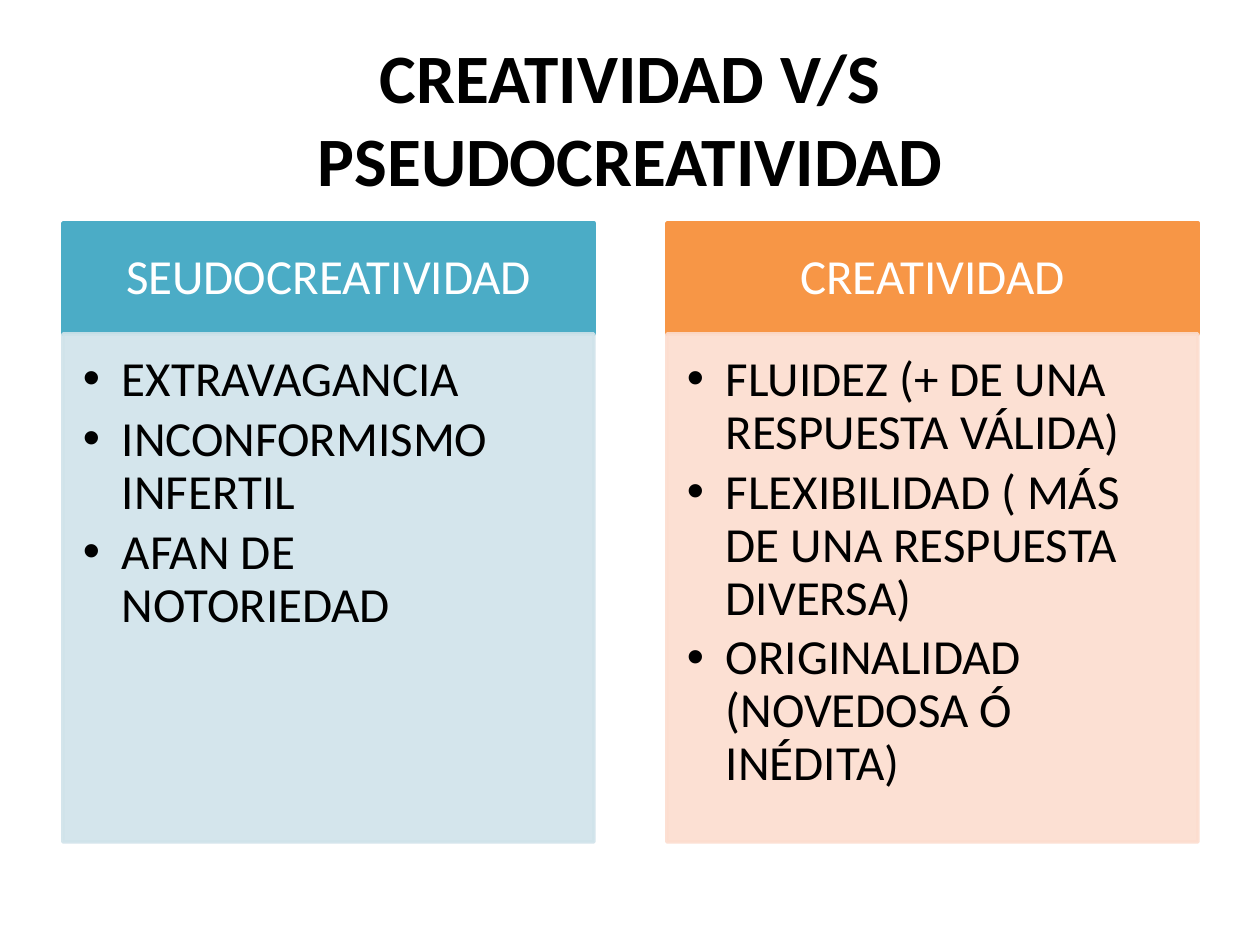
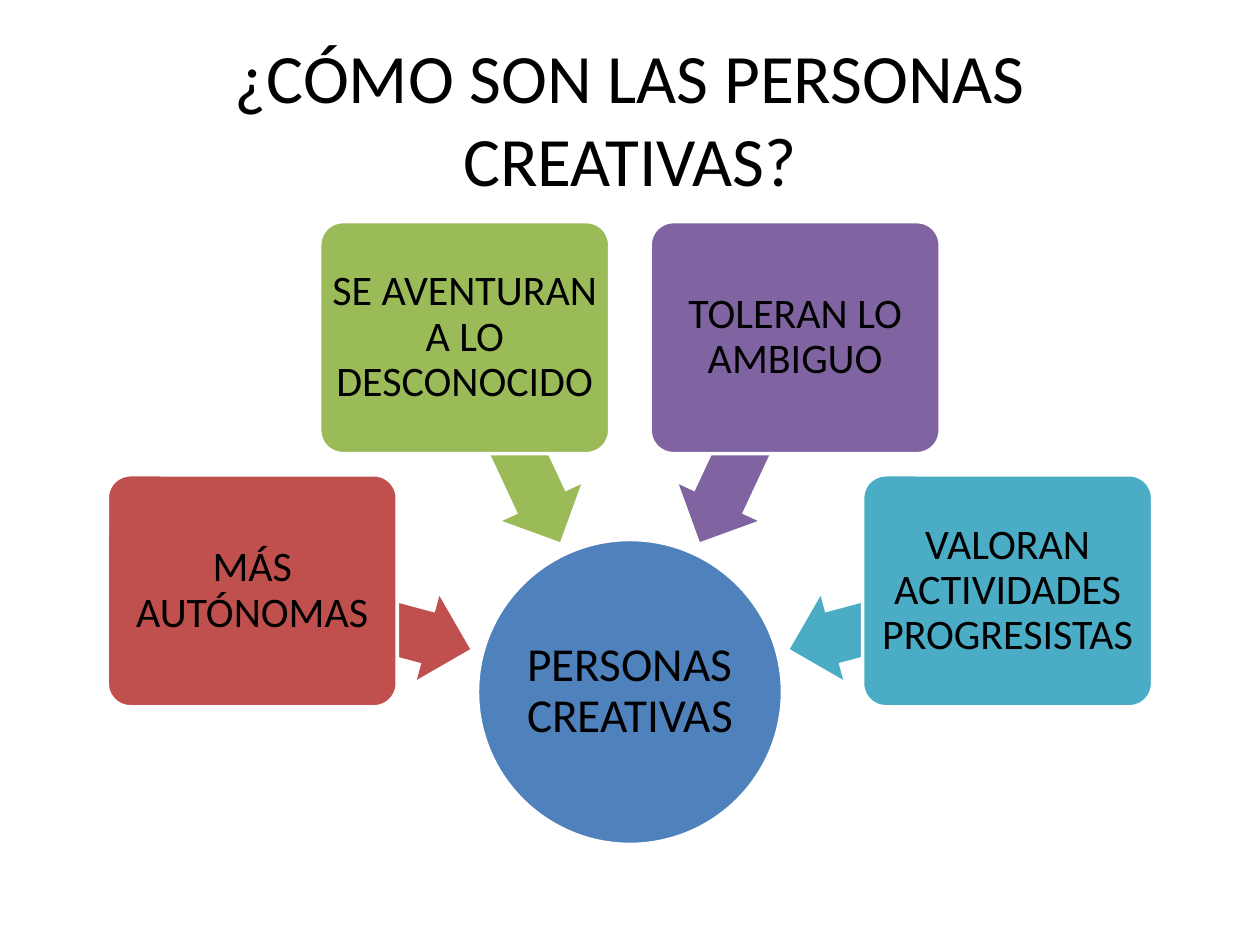
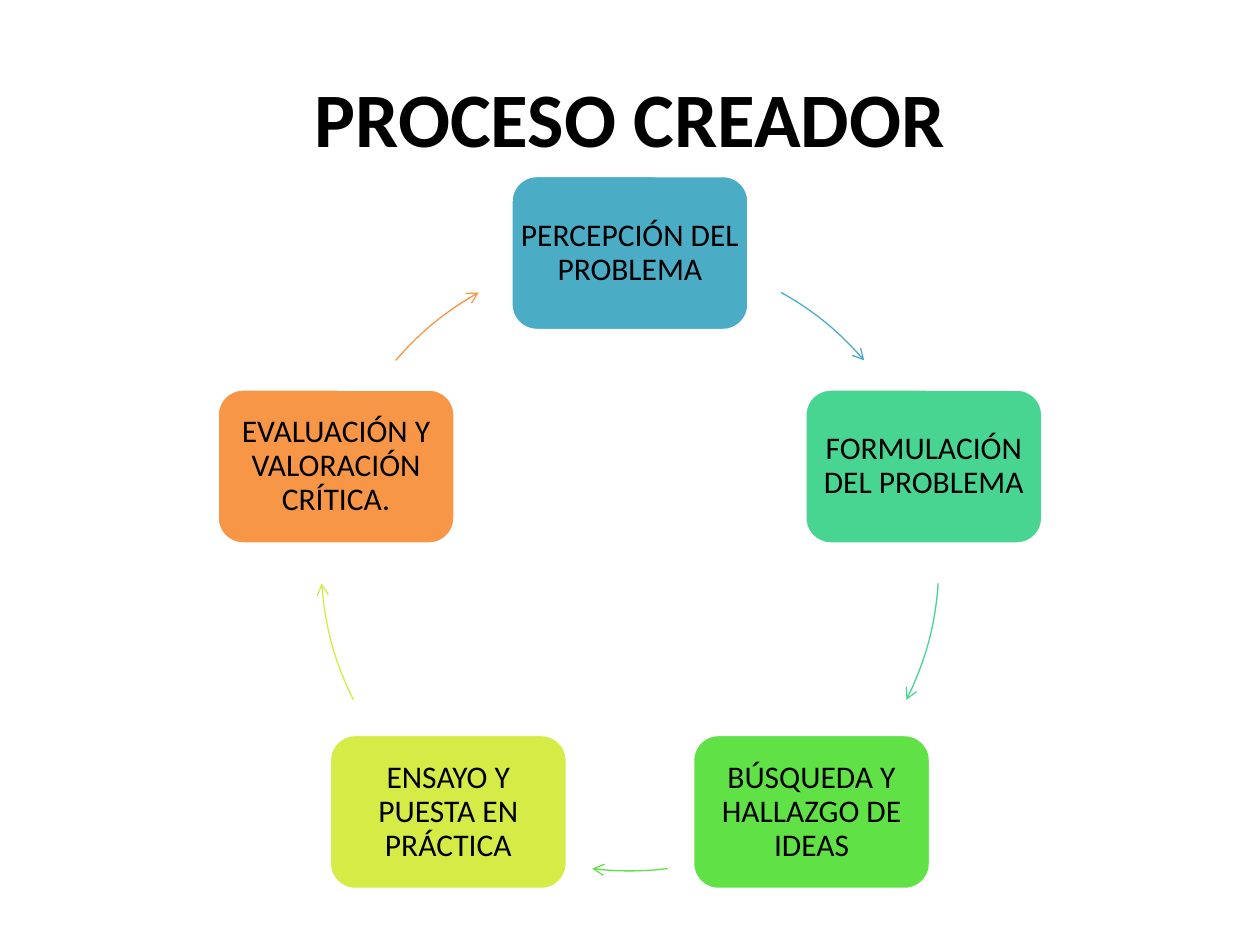
from math import cos, radians, sin

from lxml.etree import SubElement
from pptx import Presentation
from pptx.dml.color import RGBColor
from pptx.enum.shapes import MSO_SHAPE as Kind
from pptx.enum.text import MSO_ANCHOR as Anchor, MSO_AUTO_SIZE as Fit, PP_ALIGN as Align
from pptx.oxml.ns import qn
from pptx.util import Emu, Pt

DPI = 126
FONT = "Calibri"
BLACK = RGBColor(0, 0, 0)
WHITE = RGBColor(255, 255, 255)
BLUE = RGBColor(0x4F, 0x81, 0xBD)
RED = RGBColor(0xC0, 0x50, 0x4D)
OLIVE = RGBColor(0x9B, 0xBB, 0x59)
PURPLE = RGBColor(0x80, 0x64, 0xA2)
TEAL = RGBColor(0x4B, 0xAC, 0xC6)
ORANGE = RGBColor(0xF7, 0x96, 0x46)
MINT = RGBColor(0x48, 0xD4, 0x91)
GREEN = RGBColor(0x60, 0xE1, 0x46)
LIME = RGBColor(0xD5, 0xEC, 0x46)
PALE_TEAL = RGBColor(0xD0, 0xE3, 0xEA)
PALE_ORANGE = RGBColor(0xFC, 0xDD, 0xCF)

COLUMNS = [
    ("SEUDOCREATIVIDAD", TEAL, PALE_TEAL,
     ["EXTRAVAGANCIA", "INCONFORMISMO INFERTIL", "AFAN DE NOTORIEDAD"]),
    ("CREATIVIDAD", ORANGE, PALE_ORANGE,
     ["FLUIDEZ (+ DE UNA RESPUESTA VÁLIDA)",
      "FLEXIBILIDAD ( MÁS DE UNA RESPUESTA DIVERSA)",
      "ORIGINALIDAD (NOVEDOSA Ó INÉDITA)"]),
]
TRAITS = [
    ("MÁS AUTÓNOMAS", RED),
    ("SE AVENTURAN A LO DESCONOCIDO", OLIVE),
    ("TOLERAN LO AMBIGUO", PURPLE),
    ("VALORAN ACTIVIDADES PROGRESISTAS", TEAL),
]
# Step, colour, and the start and end angles of the arrow that leaves it
STEPS = [
    ("PERCEPCIÓN DEL PROBLEMA", TEAL, 299.3, 319.3),
    ("FORMULACIÓN DEL PROBLEMA", MINT, 4, 26.5),
    ("BÚSQUEDA Y HALLAZGO DE IDEAS", GREEN, 83, 97),
    ("ENSAYO Y PUESTA EN PRÁCTICA", LIME, 153.5, 176),
    ("EVALUACIÓN Y VALORACIÓN CRÍTICA.", ORANGE, 220.7, 240.7),
]


def px(n):
    return Emu(round(n * 914400 / DPI))


def polar(mid, radius, angle):
    """Point at a clockwise angle from the right-hand side of mid."""
    turn = radians(angle)
    return mid[0] + radius * cos(turn), mid[1] + radius * sin(turn)


def around(mid, wide, high):
    return mid[0] - wide / 2, mid[1] - high / 2, wide, high


def write(shape, *lines, size, color=BLACK, bold=False, align=Align.CENTER,
          anchor=Anchor.MIDDLE, pad=(0, 0, 0, 0), space=0.9, after=0, bullet=0):
    """Fill a shape with paragraphs; pad is left, top, right, bottom in px."""
    frame = shape.text_frame
    frame.word_wrap = True
    frame.auto_size = Fit.NONE
    frame.vertical_anchor = anchor
    (frame.margin_left, frame.margin_top,
     frame.margin_right, frame.margin_bottom) = map(px, pad)
    for i, line in enumerate(lines):
        para = frame.paragraphs[0] if i == 0 else frame.add_paragraph()
        para.alignment = align
        para.line_spacing = space
        para.space_before = Pt(0)
        para.space_after = Pt(after)
        run = para.add_run()
        run.text = line
        font = run.font
        font.name, font.size, font.bold = FONT, Pt(size), bold
        font.color.rgb = color
        if bullet:
            props = para._p.get_or_add_pPr()
            props.set("marL", str(px(bullet)))
            props.set("indent", str(-px(bullet)))
            SubElement(props, qn("a:buFont")).set("typeface", "Arial")
            SubElement(props, qn("a:buChar")).set("char", "•")


def draw(slide, kind, box, fill=None, line=None, width=2, adjust=(), turn=0):
    shape = slide.shapes.add_shape(kind, *map(px, box))
    shape.shadow.inherit = False
    shape.rotation = turn
    for i, value in enumerate(adjust):
        shape.adjustments[i] = value
    if fill is None:
        shape.fill.background()
    else:
        shape.fill.solid()
        shape.fill.fore_color.rgb = fill
    if line is None:
        shape.line.fill.background()
    else:
        shape.line.color.rgb = line
        shape.line.width = Pt(width)
    return shape


def fade(shape, percent):
    """Set the opacity of the fill and the line."""
    for color in shape.element.spPr.iter(qn("a:srgbClr")):
        SubElement(color, qn("a:alpha")).set("val", str(percent * 1000))


def curve(slide, box, start, end, color):
    """Draw a clockwise arc with an open arrowhead at its end."""
    arc = draw(slide, Kind.ARC, box, line=color, width=0.75,
               adjust=(start * 0.6, end * 0.6))
    SubElement(arc.line._get_or_add_ln(), qn("a:tailEnd")).set("type", "arrow")


def start(deck, text, size=39.6, bold=False):
    """Add a slide with its title."""
    slide = deck.slides.add_slide(deck.slide_layouts[5])
    title = slide.shapes.title
    title.left, title.top, title.width, title.height = map(px, (63, 38, 1134, 158))
    write(title, text, size=size, bold=bold, pad=(13, 6, 13, 6), space=1)
    return slide


def compare(deck):
    slide = start(deck, "CREATIVIDAD V/S PSEUDOCREATIVIDAD", bold=True)
    wide, step, top, head, body = 531, 604, 223, 111, 508
    for i, (name, color, pale, points) in enumerate(COLUMNS):
        left = 63 + i * step
        band = draw(slide, Kind.RECTANGLE, (left, top, wide, head), color, color)
        write(band, name, size=28, color=WHITE, pad=(28, 15, 28, 15))
        panel = draw(slide, Kind.RECTANGLE, (left, top + head, wide, body), pale, pale)
        fade(panel, 90)
        write(panel, *points, size=28, align=Align.LEFT, anchor=Anchor.TOP,
              pad=(20, 20, 28, 30), after=4, bullet=39)


def people(deck):
    slide = start(deck, "¿CÓMO SON LAS PERSONAS CREATIVAS?")
    mid = 630, 692
    hub = draw(slide, Kind.OVAL, around(mid, 305, 305), BLUE, WHITE)
    write(hub, "PERSONAS CREATIVAS", size=27)
    for i, (trait, color) in enumerate(TRAITS):
        angle = 195 + 50 * i
        draw(slide, Kind.LEFT_ARROW, around(polar(mid, 279, angle), 227, 87),
             color, adjust=(0.6, 0.5), turn=angle)
        card = draw(slide, Kind.ROUNDED_RECTANGLE,
                    around(polar(mid, 391, angle), 290, 232),
                    color, WHITE, adjust=(0.1,))
        write(card, trait, size=24)


def cycle(deck):
    slide = start(deck, "PROCESO CREADOR", size=44, bold=True)
    mid, radius = (630, 562), 309
    ring = around(mid, 2 * radius, 2 * radius)
    for i, (step, color, tail, tip) in enumerate(STEPS):
        spot = polar(mid, radius, 72 * i - 90)
        card = draw(slide, Kind.ROUNDED_RECTANGLE, around(spot, 238, 155), color, WHITE)
        write(card, step, size=18)
        curve(slide, ring, tail, tip, color)


def main():
    deck = Presentation()
    deck.slide_width, deck.slide_height = px(1260), px(945)
    compare(deck)
    people(deck)
    cycle(deck)
    deck.save("out.pptx")


if __name__ == "__main__":
    main()
